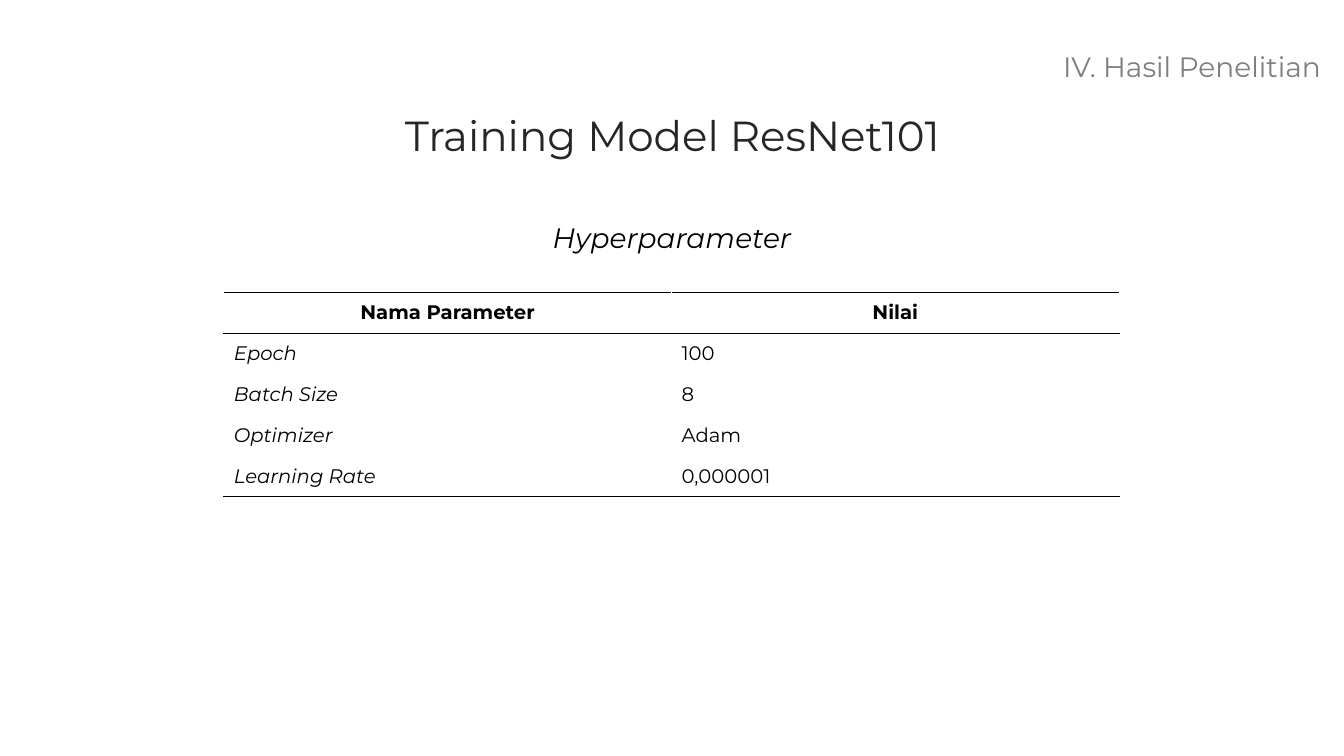
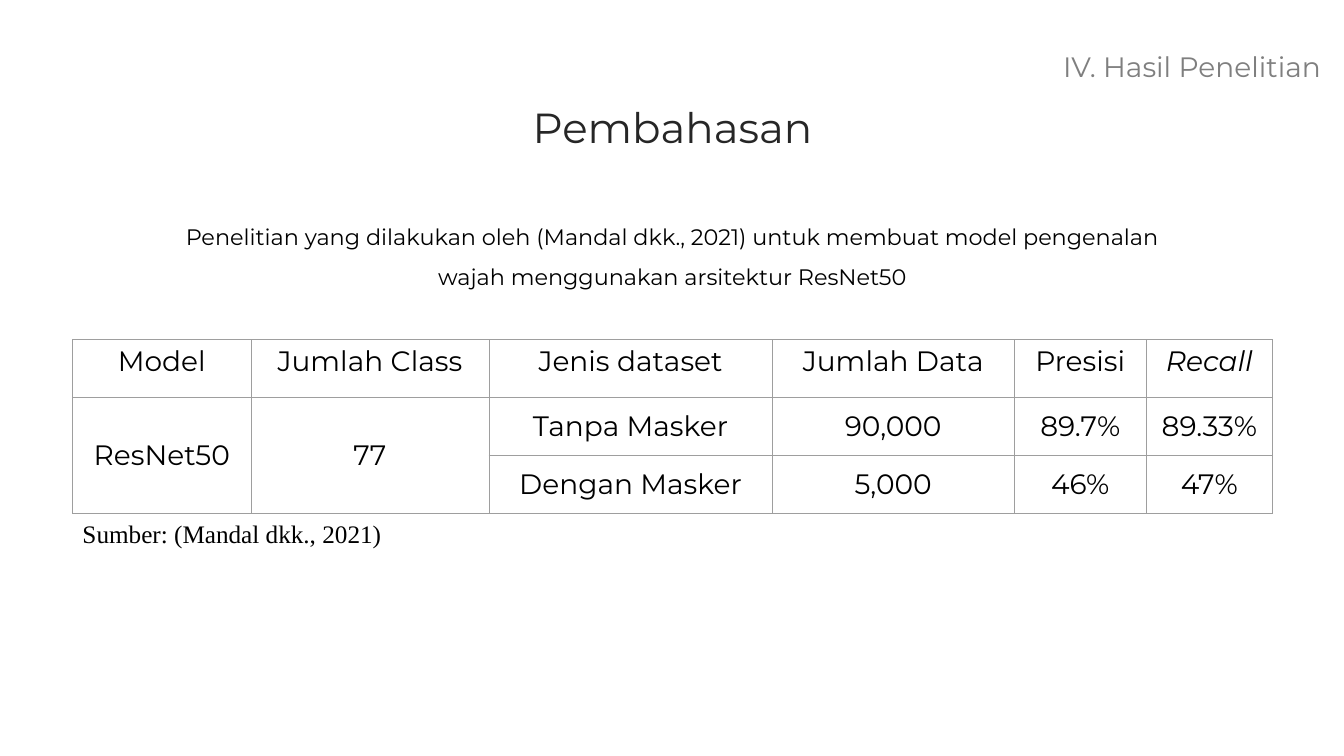
from lxml.etree import SubElement
from pptx import Presentation
from pptx.dml.color import RGBColor
from pptx.enum.text import MSO_ANCHOR as Anchor, PP_ALIGN as Align
from pptx.oxml.ns import qn
from pptx.util import Inches, Pt

BLACK, WHITE = "000000", "FFFFFF"
TITLE_COLOR, SECTION_COLOR, GRID_COLOR = "262626", "7F7F7F", "9E9E9E"
MAIN_FONT, SOURCE_FONT = "Montserrat", "Times New Roman"


def color(hex_value):
    return RGBColor.from_string(hex_value)


class Deck:
    def __init__(self):
        self.presentation = Presentation()
        self.presentation.slide_width = Inches(13.33)
        self.presentation.slide_height = Inches(7.5)
        self.slide = None

    def start_slide(self, title, title_top):
        layout = self.presentation.slide_layouts[6]
        self.slide = self.presentation.slides.add_slide(layout)
        self.text(title, 3.46, title_top, 6.42, 0.75, 30, text_color=TITLE_COLOR,
                  anchor=Anchor.MIDDLE, spacing=0.9)
        self.text("IV. Hasil Penelitian", 9.59, 0.43, 3.61, 0.49, 20,
                  text_color=SECTION_COLOR, align=Align.RIGHT,
                  anchor=Anchor.MIDDLE, spacing=0.9)

    def format(self, text_frame, size, align, text_color=BLACK, font=MAIN_FONT,
               bold=False, italic=False, spacing=None):
        for paragraph in text_frame.paragraphs:
            paragraph.alignment = align
            if spacing:
                paragraph.line_spacing = spacing
            for run in paragraph.runs:
                run.font.name = font
                run.font.size = Pt(size)
                run.font.bold = bold
                run.font.italic = italic
                run.font.color.rgb = color(text_color)

    def text(self, content, left, top, width, height, size, align=Align.CENTER,
             anchor=Anchor.TOP, wrap=True, **style):
        shape = self.slide.shapes.add_textbox(
            Inches(left), Inches(top), Inches(width), Inches(height))
        text_frame = shape.text_frame
        text_frame.word_wrap = wrap
        text_frame.vertical_anchor = anchor
        text_frame.text = content
        self.format(text_frame, size, align, **style)

    def borders(self, cell, sides, width):
        properties = cell._tc.get_or_add_tcPr()
        for index, (side, hex_value) in enumerate(sides.items()):
            line = SubElement(properties, qn(f"a:ln{side}"), w=str(Pt(width)))
            fill = SubElement(line, qn("a:solidFill"))
            SubElement(fill, qn("a:srgbClr"), val=hex_value)
            properties.insert(index, line)

    def table(self, rows, left, top, widths, row_height, size, vertical_color,
              horizontal_colors, line_width, cell_style):
        shape = self.slide.shapes.add_table(
            len(rows), len(widths), Inches(left), Inches(top),
            Inches(sum(widths)), Inches(row_height * len(rows)))
        table = shape.table
        table.first_row = table.horz_banding = False
        for column, width in zip(table.columns, widths):
            column.width = Inches(width)
        for row_index, values in enumerate(rows):
            table.rows[row_index].height = Inches(row_height)
            for column_index, value in enumerate(values):
                cell = table.cell(row_index, column_index)
                cell.text = value
                cell.fill.background()
                anchor, align, style = cell_style(row_index, column_index)
                cell.vertical_anchor = anchor
                self.format(cell.text_frame, size, align, **style)
                self.borders(cell, {
                    "L": vertical_color, "R": vertical_color,
                    "T": horizontal_colors[row_index],
                    "B": horizontal_colors[row_index + 1]}, line_width)
        return table


def parameter_style(row, column):
    if row == 0:
        return Anchor.MIDDLE, Align.CENTER, {"bold": True}
    return Anchor.MIDDLE, Align.LEFT, {"italic": column == 0}


def result_style(row, column):
    anchor = Anchor.TOP if row == 0 else Anchor.MIDDLE
    return anchor, Align.CENTER, {"italic": (row, column) == (0, 5)}


def hyperparameter_slide(deck):
    deck.start_slide("Training Model ResNet101", 0.99)
    rows = [
        ["Nama Parameter", "Nilai"],
        ["Epoch", "100"],
        ["Batch Size", "8"],
        ["Optimizer", "Adam"],
        ["Learning Rate", "0,000001"],
    ]
    deck.table(rows, 2.22, 2.9, [4.44] * 2, 0.406, 14, WHITE,
               [BLACK] * 2 + [WHITE] * 3 + [BLACK], 1, parameter_style)
    deck.text("Hyperparameter", 5.34, 2.14, 2.65, 0.44, 20, wrap=False, italic=True)


def discussion_slide(deck):
    deck.start_slide("Pembahasan", 0.91)
    rows = [
        ["Model", "Jumlah Class", "Jenis dataset", "Jumlah Data", "Presisi", "Recall"],
        ["ResNet50", "77", "Tanpa Masker", "90,000", "89.7%", "89.33%"],
        ["", "", "Dengan Masker", "5,000", "46%", "47%"],
    ]
    table = deck.table(rows, 0.72, 3.37, [1.77, 2.36, 2.81, 2.4, 1.31, 1.25],
                       1.72 / 3, 20, GRID_COLOR, [GRID_COLOR] * 4, 0.75, result_style)
    for column in range(2):
        table.cell(1, column).merge(table.cell(2, column))
    deck.text("Sumber: (Mandal dkk., 2021)", 0.72, 5.09, 3.2, 0.4, 18,
              align=Align.LEFT, wrap=False, font=SOURCE_FONT)
    deck.text("Penelitian yang dilakukan oleh (Mandal dkk., 2021) untuk membuat model "
              "pengenalan wajah menggunakan arsitektur ResNet50",
              1.74, 2.03, 9.86, 0.86, 16, spacing=1.5)


def main():
    deck = Deck()
    hyperparameter_slide(deck)
    discussion_slide(deck)
    deck.presentation.save("out.pptx")


if __name__ == "__main__":
    main()
